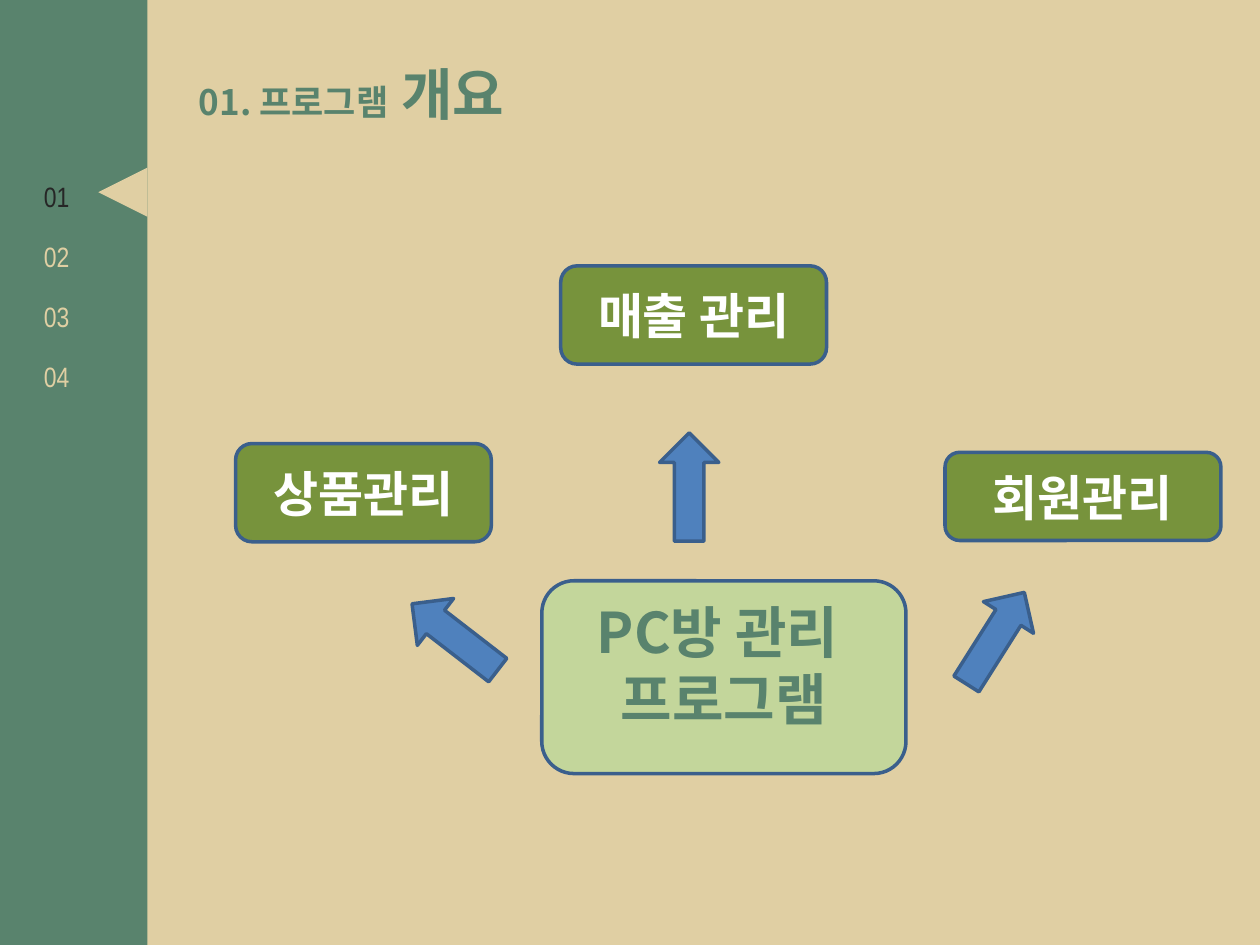
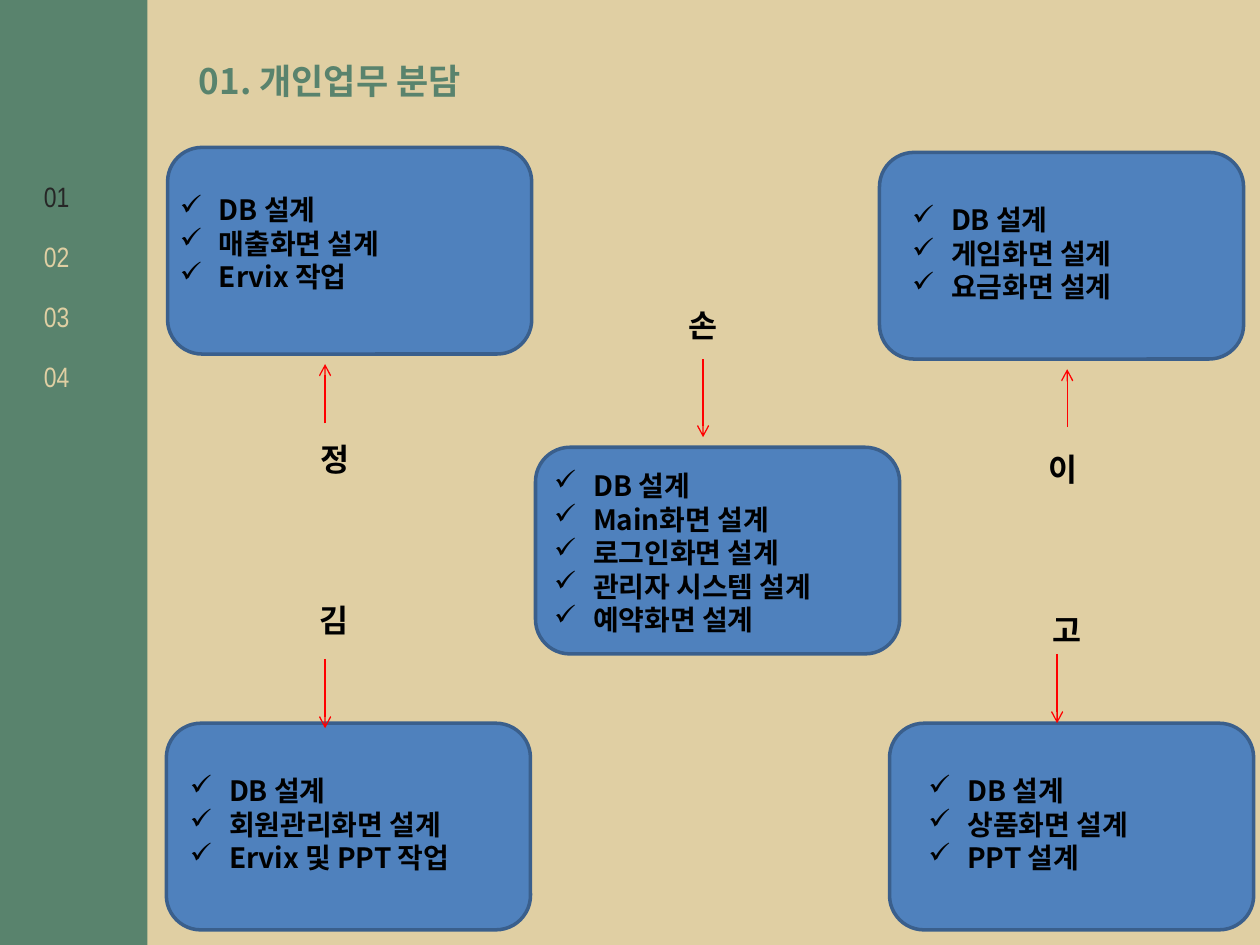
from dataclasses import dataclass

from lxml.etree import SubElement as Sub
from pptx import Presentation
from pptx.dml.color import RGBColor as Rgb
from pptx.enum.shapes import MSO_CONNECTOR as Conn, MSO_SHAPE as Kind
from pptx.enum.text import MSO_ANCHOR as Anchor, PP_ALIGN as Align
from pptx.oxml.ns import qn
from pptx.util import Inches, Pt


@dataclass(frozen=True)
class Theme:
    sand: str = "E0CFA3"
    green: str = "59836D"
    olive: str = "77933C"
    lime: str = "C3D69B"
    blue: str = "4F81BD"
    edge: str = "3A5F8C"
    red: str = "FF0000"
    white: str = "FFFFFF"
    black: str = "000000"
    dark: str = "262626"
    bold: str = "Noto Sans CJK KR"
    thin: str = "Arial Narrow"
    huge: int = 32
    large: int = 28
    title: int = 20
    label: int = 18
    body: int = 16


T = Theme()

# Grid: 100 columns by 75 rows
WIDTH, HEIGHT = Inches(10), Inches(7.5)
COL, ROW = WIDTH / 100, HEIGHT / 75
BAND = 11.7
CARD = (28.9, 16.4)
INDENT = Inches(0.31)


def place(x, y, w, h):
    return round(x * COL), round(y * ROW), round(w * COL), round(h * ROW)


def style(run, size, color, face=T.bold):
    font = run.font
    font.size, font.name, font.bold = Pt(size), face, face == T.bold
    font.color.rgb = Rgb.from_string(color)
    Sub(font._element, qn("a:ea"), typeface=face)


def fill_text(frame, lines, size, color, align=Align.LEFT, face=T.bold):
    frame.word_wrap = True
    frame.text = "\n".join(lines)
    for para in frame.paragraphs:
        para.alignment = align
        for run in para.runs:
            style(run, size, color, face)


def add_text(slide, box, lines, size, color, **more):
    frame = slide.shapes.add_textbox(*place(*box)).text_frame
    fill_text(frame, lines, size, color, **more)
    return frame


def add_block(slide, kind, box, fill, edge=None, turn=0):
    shape = slide.shapes.add_shape(kind, *place(*box))
    shape.shadow.inherit = False
    shape.rotation = turn
    shape.fill.solid()
    shape.fill.fore_color.rgb = Rgb.from_string(fill)
    if edge:
        shape.line.color.rgb = Rgb.from_string(edge)
        shape.line.width = Pt(2)
    else:
        shape.line.fill.background()
    return shape


def add_node(slide, box, lines, fill, size, color):
    node = add_block(slide, Kind.ROUNDED_RECTANGLE, box, fill, T.edge)
    frame = node.text_frame
    frame.vertical_anchor = Anchor.MIDDLE
    fill_text(frame, lines, size, color, align=Align.CENTER)
    return frame


def add_arrow(slide, x, start, end):
    left, top, _, tip = place(x, start, 0, end)
    line = slide.shapes.add_connector(Conn.STRAIGHT, left, top, left, tip)
    line.line.color.rgb = Rgb.from_string(T.red)
    line.line.width = Pt(0.75)
    Sub(line.line._get_or_add_ln(), qn("a:tailEnd"), type="arrow")
    Sub(line._element.spPr, qn("a:effectLst"))


def add_list(slide, box, items):
    frame = add_text(slide, box, items, T.body, T.black)
    for para in frame.paragraphs:
        props = para._p.get_or_add_pPr()
        props.set("marL", str(INDENT))
        props.set("indent", str(-INDENT))
        Sub(props, qn("a:buChar"), char="✓")


def add_page(deck, title):
    """Background, side band, page numbers and title."""
    slide = deck.slides.add_slide(deck.slide_layouts[6])
    back = slide.background.fill
    back.solid()
    back.fore_color.rgb = Rgb.from_string(T.sand)
    add_block(slide, Kind.RECTANGLE, (0, 0, BAND, 75), T.green)
    for i in range(4):
        color = T.sand if i else T.dark
        add_text(slide, (2.5, 13.8 + 4.75 * i, 5.9, 3.7), [f"0{i + 1}"],
                 T.body, color, face=T.thin)
    head = add_text(slide, (14.8, 4.2, 31.3, 4.4), [title], T.title, T.green)
    return slide, head


def draw_plan(deck):
    slide, head = add_page(deck, "01. 프로그램")
    run = head.paragraphs[0].add_run()
    run.text = " 개요"
    style(run, T.huge, T.green)
    add_block(slide, Kind.ISOSCELES_TRIANGLE, (7.8, 13.3, 3.9, 3.9),
              T.sand, turn=270)

    # Core program and its three areas
    core = add_node(slide, (43, 46.1, 28.9, 15.3), ["PC방 관리 ", "프로그램"],
                    T.lime, T.huge, T.green)
    core.margin_bottom = Inches(0.25)
    for box, name in (((44.5, 21.1, 21.1, 7.8), "매출 관리"),
                      ((75, 35.9, 21.9, 7), "회원관리"),
                      ((18.7, 35.2, 20.3, 7.8), "상품관리")):
        add_node(slide, box, [name], T.olive, T.large, T.white)

    # Block arrows pointing outward
    for x, y, turn in ((50.4, 36.3, 270), (31.8, 48.2, 217.7),
                       (74.7, 48.3, 302.3)):
        add_block(slide, Kind.RIGHT_ARROW, (x, y, 8.6, 4.7), T.blue,
                  T.edge, turn)


def draw_tasks(deck):
    slide, _ = add_page(deck, "01. 개인업무 분담")

    # Cards: corner of the card, corner of its list, tasks after the first
    cards = (
        ((13.3, 11.7), (13.3, 14.8), ["매출화면 설계", "Ervix 작업"]),
        ((69.8, 12.1), (71.4, 15.6), ["게임화면 설계", "요금화면 설계"]),
        ((42.5, 35.5), (43, 36.7), ["Main화면 설계", "로그인화면 설계",
                                    "관리자 시스템 설계", "예약화면 설계"]),
        ((13.2, 57.4), (14.1, 60.9), ["회원관리화면 설계", "Ervix 및 PPT 작업"]),
        ((70.6, 57.4), (72.7, 60.9), ["상품화면 설계", "PPT 설계"]),
    )
    for card, text, tasks in cards:
        add_block(slide, Kind.ROUNDED_RECTANGLE, card + CARD, T.blue, T.edge)
        items = ["DB 설계"] + tasks
        add_list(slide, text + (27.3, 1 + 2.7 * len(items)), items)

    # Members: label corner, then arrow column, start and end rows
    for name, x, y, col, start, end in (
            ("정", 18, 34.4, 25.8, 33.6, 28.9),
            ("이", 75.8, 35.2, 84.7, 33.9, 29.3),
            ("김", 17.9, 47.2, 25.8, 52.3, 57.8),
            ("손", 47.2, 23.8, 55.8, 28.5, 34.7),
            ("고", 76.1, 48, 83.9, 51.9, 57.4)):
        add_text(slide, (x, y, 17.2, 4), [name], T.label, T.black,
                 align=Align.CENTER)
        add_arrow(slide, col, start, end)


def main():
    deck = Presentation()
    deck.slide_width, deck.slide_height = WIDTH, HEIGHT
    draw_plan(deck)
    draw_tasks(deck)
    deck.save("out.pptx")


if __name__ == "__main__":
    main()
